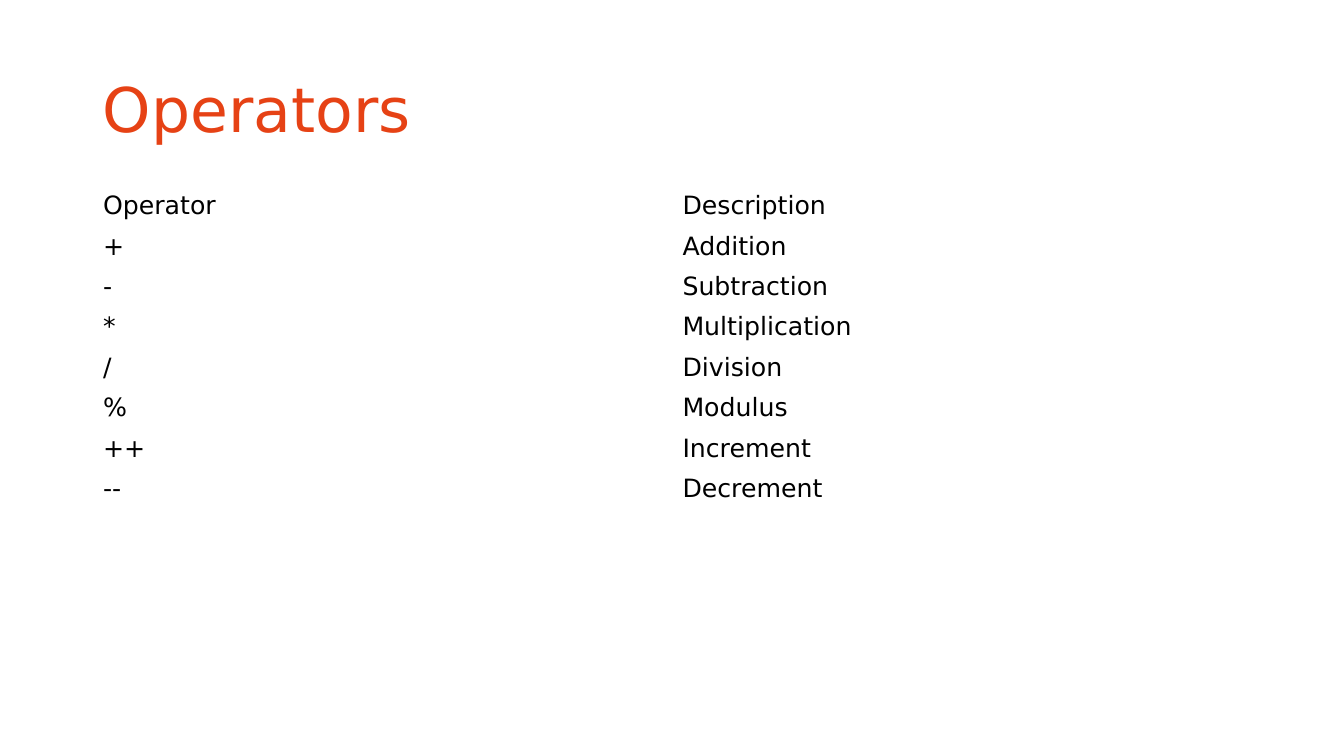
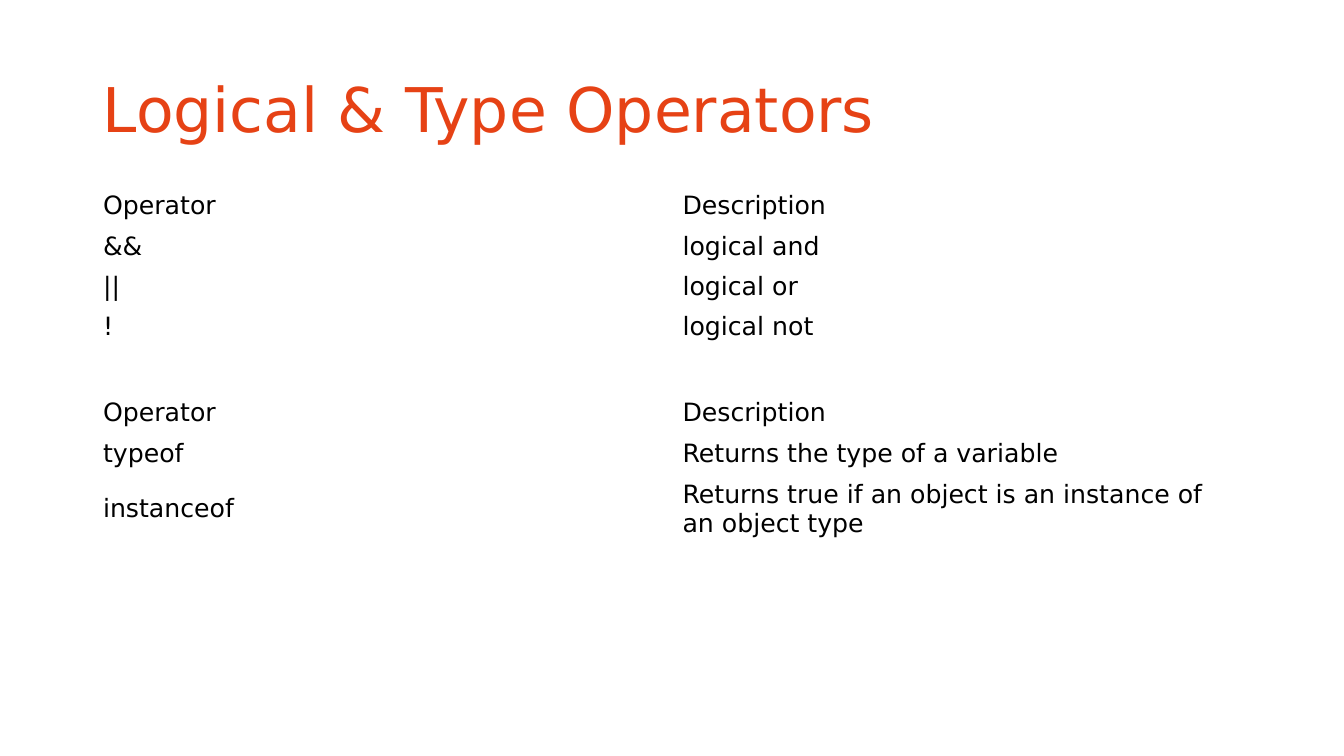
"""Build two slides that list operators and their descriptions."""
from pptx import Presentation
from pptx.dml.color import RGBColor
from pptx.enum.text import MSO_ANCHOR
from pptx.util import Pt

ORANGE = RGBColor(0xE6, 0x42, 0x15)
BLACK = RGBColor(0, 0, 0)
FONT = "DejaVu Sans"

SLIDE_W, SLIDE_H = 1344, 756
LEFT, CONTENT_W = 93, 1159
TITLE_TOP, TITLE_H = 40, 146
ROW_H = 39

HEADER = ("Operator", "Description")
SLIDES = [
    ("Operators", [
        (186, [
            ("+", "Addition"),
            ("-", "Subtraction"),
            ("*", "Multiplication"),
            ("/", "Division"),
            ("%", "Modulus"),
            ("++", "Increment"),
            ("--", "Decrement"),
        ]),
    ]),
    ("Logical & Type Operators", [
        (186, [
            ("&&", "logical and"),
            ("||", "logical or"),
            ("!", "logical not"),
        ]),
        (393, [
            ("typeof", "Returns the type of a variable"),
            ("instanceof", "Returns true if an object is an instance of an object type"),
        ]),
    ]),
]


def px(length):
    return round(length * 914400 / 100.8)


def write(frame, text, size=18, color=BLACK, spacing=1.0):
    frame.word_wrap = True
    paragraph = frame.paragraphs[0]
    paragraph.line_spacing = spacing
    run = paragraph.add_run()
    run.text = text
    run.font.name = FONT
    run.font.size = Pt(size)
    run.font.color.rgb = color


def add_title(slide, title):
    frame = slide.shapes.add_textbox(
        px(LEFT), px(TITLE_TOP), px(CONTENT_W), px(TITLE_H)).text_frame
    frame.vertical_anchor = MSO_ANCHOR.MIDDLE
    write(frame, title, size=44, color=ORANGE, spacing=0.9)


def add_operators(slide, top, operators):
    rows = [HEADER, *operators]
    table = slide.shapes.add_table(
        len(rows), len(HEADER), px(LEFT), px(top),
        px(CONTENT_W), px(ROW_H * len(rows))).table
    table.first_row = False
    table.horz_banding = False
    for r, row in enumerate(rows):
        for c, text in enumerate(row):
            cell = table.cell(r, c)
            cell.fill.background()
            cell.vertical_anchor = MSO_ANCHOR.MIDDLE
            write(cell.text_frame, text)


def main():
    deck = Presentation()
    deck.slide_width, deck.slide_height = px(SLIDE_W), px(SLIDE_H)
    for title, tables in SLIDES:
        slide = deck.slides.add_slide(deck.slide_layouts[6])
        add_title(slide, title)
        for top, operators in tables:
            add_operators(slide, top, operators)
    deck.save("out.pptx")


if __name__ == "__main__":
    main()
